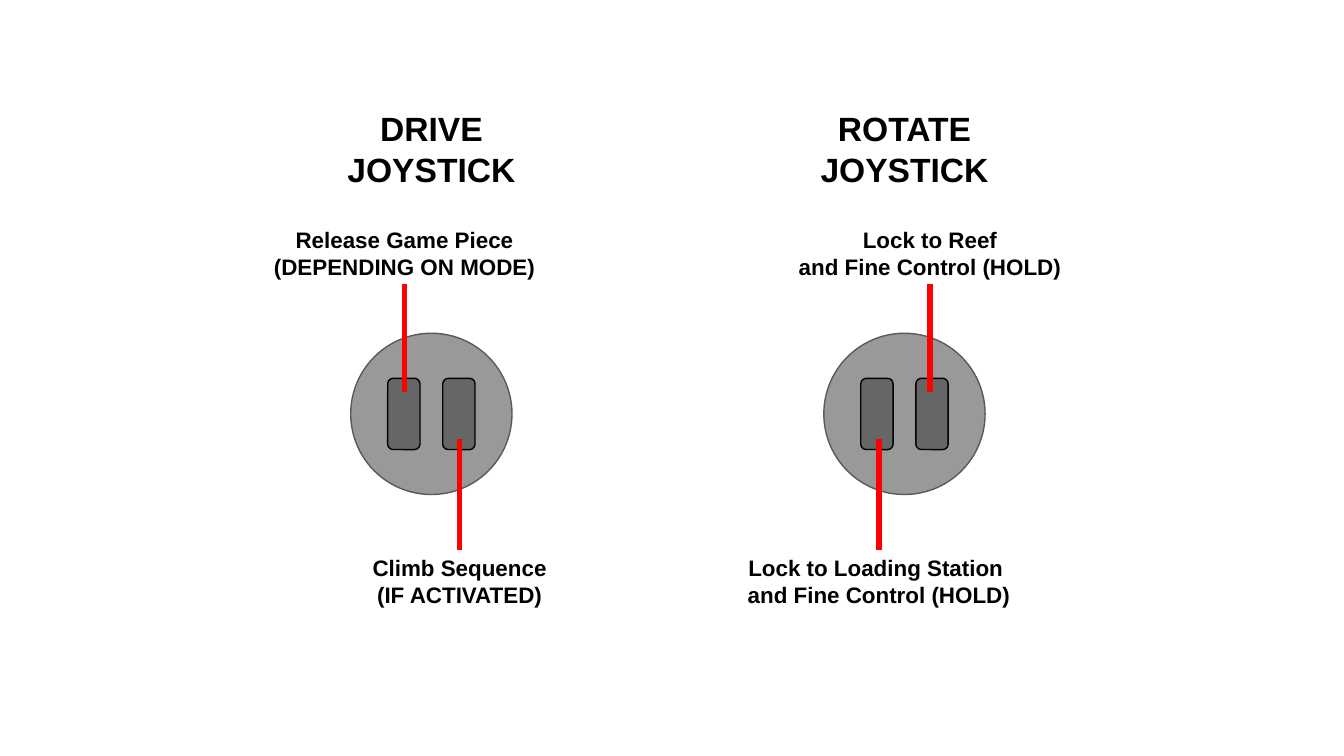
from dataclasses import dataclass

from lxml.etree import SubElement
from pptx import Presentation
from pptx.dml.color import RGBColor
from pptx.enum.shapes import MSO_CONNECTOR, MSO_SHAPE
from pptx.enum.text import MSO_ANCHOR, PP_ALIGN
from pptx.oxml.ns import qn
from pptx.shapes.autoshape import Shape
from pptx.slide import Slide
from pptx.util import Inches, Pt

COLORS = {
    "text": "000000",
    "knob": "999999",
    "knob_line": "595959",
    "button": "666666",
    "button_line": "000000",
    "callout": "FF0000",
}
SLIDE_WIDTH = 10
SLIDE_HEIGHT = SLIDE_WIDTH * 9 / 16
KNOB_SIZE = 1.2
KNOB_CENTER_Y = 3.08
BUTTON_LENGTH = 0.53
BUTTON_THICKNESS = 0.24
BUTTON_GAP = 0.41
TEXT_HEIGHT = 0.29
HEADING_TOP = 0.96
HEADING_WIDTH = 2.19


@dataclass(frozen=True)
class Level:
    line_start: float
    line_end: float
    label_top: float


UPPER = Level(line_start=2.92, line_end=2.11, label_top=1.74)
LOWER = Level(line_start=4.09, line_end=3.27, label_top=4.18)


@dataclass(frozen=True)
class Callout:
    text: str
    center_x: float
    label_width: float
    level: Level


@dataclass(frozen=True)
class Joystick:
    heading: str
    center_x: float
    callouts: tuple[Callout, ...]


JOYSTICKS = (
    Joystick("DRIVE JOYSTICK", 3.21, (
        Callout("Release Game Piece (DEPENDING ON MODE)", 3.01, 2.19, UPPER),
        Callout("Climb Sequence\n(IF ACTIVATED)", 3.42, 2.35, LOWER),
    )),
    Joystick("ROTATE JOYSTICK", 6.73, (
        Callout("Lock to Loading Station \nand Fine Control (HOLD)", 6.54, 2.35, LOWER),
        Callout("Lock to Reef\nand Fine Control (HOLD)", 6.92, 3.43, UPPER),
    )),
)


def color(name: str) -> RGBColor:
    return RGBColor.from_string(COLORS[name])


def style_shape(shape: Shape, fill: str, line: str) -> None:
    shape.shadow.inherit = False
    shape.fill.solid()
    shape.fill.fore_color.rgb = color(fill)
    shape.line.color.rgb = color(line)
    shape.line.width = Pt(0.75)


def draw_knob(slide: Slide, center_x: float) -> None:
    group = slide.shapes.add_group_shape()
    knob = group.shapes.add_shape(
        MSO_SHAPE.OVAL,
        Inches(center_x - KNOB_SIZE / 2), Inches(KNOB_CENTER_Y - KNOB_SIZE / 2),
        Inches(KNOB_SIZE), Inches(KNOB_SIZE),
    )
    style_shape(knob, "knob", "knob_line")
    for side in (-1, 1):
        button = group.shapes.add_shape(
            MSO_SHAPE.ROUNDED_RECTANGLE,
            Inches(center_x + side * BUTTON_GAP / 2 - BUTTON_LENGTH / 2),
            Inches(KNOB_CENTER_Y - BUTTON_THICKNESS / 2),
            Inches(BUTTON_LENGTH), Inches(BUTTON_THICKNESS),
        )
        button.rotation = 270
        style_shape(button, "button", "button_line")


def draw_text(slide: Slide, text: str, center_x: float, top: float,
              width: float, size: int) -> None:
    box = slide.shapes.add_textbox(
        Inches(center_x - width / 2), Inches(top), Inches(width), Inches(TEXT_HEIGHT)
    )
    frame = box.text_frame
    frame.word_wrap = True
    frame.vertical_anchor = MSO_ANCHOR.MIDDLE
    frame.margin_left = frame.margin_right = Inches(0.1)
    frame.margin_top = frame.margin_bottom = Inches(0.1)
    frame.text = text
    for paragraph in frame.paragraphs:
        paragraph.alignment = PP_ALIGN.CENTER
        for run in paragraph.runs:
            run.font.name = "Arial"
            run.font.size = Pt(size)
            run.font.bold = True
            run.font.color.rgb = color("text")


def draw_callout(slide: Slide, callout: Callout) -> None:
    level = callout.level
    line = slide.shapes.add_connector(
        MSO_CONNECTOR.STRAIGHT,
        Inches(callout.center_x), Inches(level.line_start),
        Inches(callout.center_x), Inches(level.line_end),
    )
    line.line.color.rgb = color("callout")
    line.line.width = Pt(3)
    SubElement(line._element.spPr, qn("a:effectLst"))
    draw_text(slide, callout.text, callout.center_x, level.label_top,
              callout.label_width, 12)


def main() -> None:
    presentation = Presentation()
    presentation.slide_width = Inches(SLIDE_WIDTH)
    presentation.slide_height = Inches(SLIDE_HEIGHT)
    slide = presentation.slides.add_slide(presentation.slide_layouts[6])
    for joystick in JOYSTICKS:
        draw_knob(slide, joystick.center_x)
        for callout in joystick.callouts:
            draw_callout(slide, callout)
        draw_text(slide, joystick.heading, joystick.center_x, HEADING_TOP,
                  HEADING_WIDTH, 18)
    presentation.save("out.pptx")


if __name__ == "__main__":
    main()
